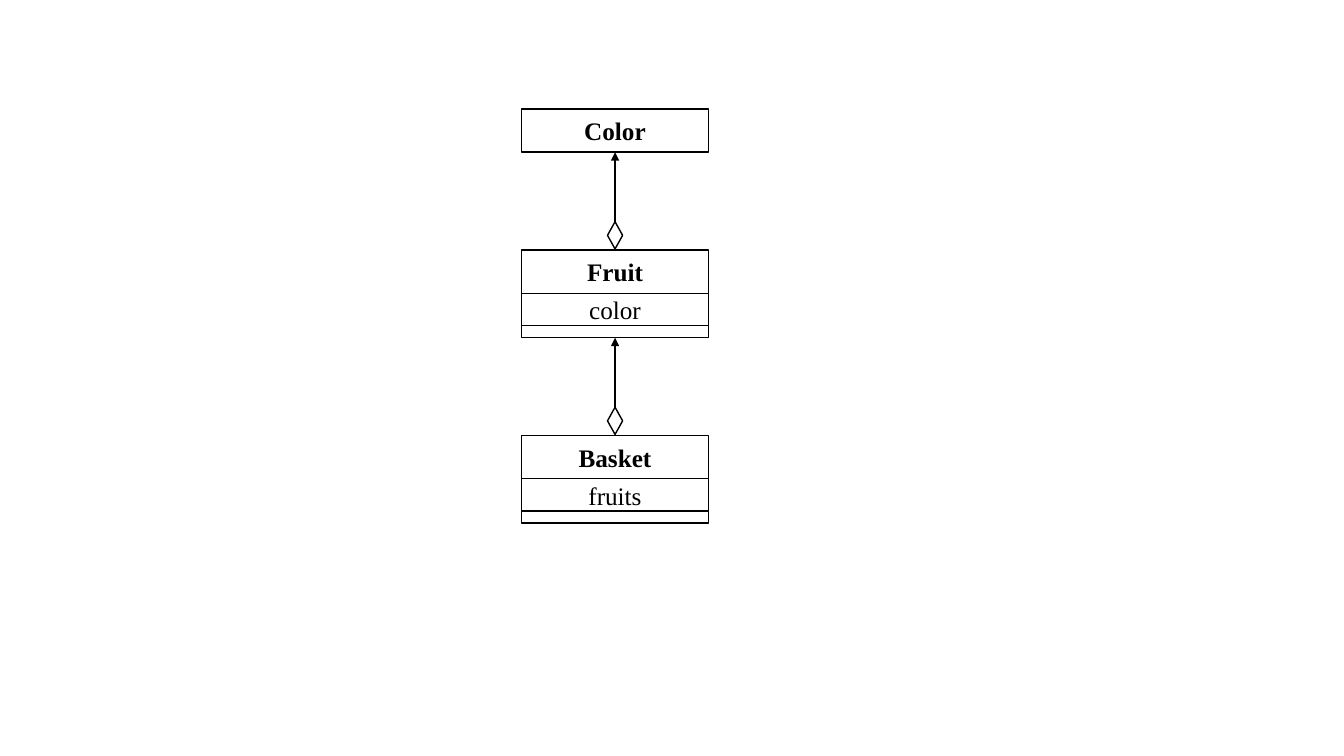
"""Build a class diagram in which Basket aggregates Fruit and Fruit aggregates Color."""
from lxml.etree import SubElement
from pptx import Presentation
from pptx.dml.color import RGBColor
from pptx.enum.shapes import MSO_CONNECTOR, MSO_SHAPE
from pptx.enum.text import MSO_ANCHOR, PP_ALIGN
from pptx.oxml.ns import qn
from pptx.util import Inches, Pt

COLS, ROWS = 1333, 750
LEFT, TOP, WIDTH = 517, 108, 186
CENTER = LEFT + WIDTH / 2
NAME_H, FIELD_H, METHOD_H = 43, 32, 12
GAP, DIAMOND_W, DIAMOND_H = 97, 15, 27
CLASSES = [("Color", None), ("Fruit", "color"), ("Basket", "fruits")]

prs = Presentation()
prs.slide_width, prs.slide_height = Inches(13.33), Inches(7.5)
col, row = prs.slide_width / COLS, prs.slide_height / ROWS
s = prs.slides.add_slide(prs.slide_layouts[6])


def paint(fmt, color):
    """Give a fill, line or font format a solid colour."""
    if hasattr(fmt, "solid"):
        fmt.solid()
        fmt = fmt.fore_color
    else:
        fmt = fmt.color
    fmt.rgb = RGBColor.from_string(color)


def add_box(shapes, kind, x, y, w, h, text="", bold=False):
    """Add an outlined white shape, placed in grid units, with centred text."""
    sp = shapes.add_shape(kind, int(x * col), int(y * row), int(w * col), int(h * row))
    sp.shadow.inherit = False
    paint(sp.fill, "FFFFFF")
    paint(sp.line, "000000")
    sp.line.width = Pt(1)
    if text:
        tf = sp.text_frame
        tf.margin_top = tf.margin_bottom = 0
        tf.vertical_anchor = MSO_ANCHOR.MIDDLE
        p = tf.paragraphs[0]
        p.alignment = PP_ALIGN.CENTER
        r = p.add_run()
        r.text = text
        r.font.name, r.font.size, r.font.bold = "Times New Roman", Pt(18), bold
        paint(r.font, "000000")


tops, bottoms = [], []
y = TOP
for name, field in CLASSES:
    tops.append(y)
    bottoms.append(y + NAME_H + (FIELD_H + METHOD_H if field else 0))
    y = bottoms[-1] + GAP

for target, owner in zip(bottoms, tops[1:]):
    shapes = s.shapes.add_group_shape().shapes
    start = owner - DIAMOND_H - 1
    add_box(shapes, MSO_SHAPE.DIAMOND, CENTER - DIAMOND_W / 2, start, DIAMOND_W, DIAMOND_H)
    arrow = shapes.add_connector(MSO_CONNECTOR.STRAIGHT, int(CENTER * col), int(start * row),
                                 int(CENTER * col), int(target * row))
    paint(arrow.line, "000000")
    arrow.line.width = Pt(1.5)
    SubElement(arrow.line._get_or_add_ln(), qn("a:tailEnd"), type="triangle")
    SubElement(arrow._element.spPr, qn("a:effectLst"))

for (name, field), y in zip(CLASSES, tops):
    shapes = s.shapes.add_group_shape().shapes if field else s.shapes
    add_box(shapes, MSO_SHAPE.RECTANGLE, LEFT, y, WIDTH, NAME_H, name, True)
    if field:
        y += NAME_H
        add_box(shapes, MSO_SHAPE.RECTANGLE, LEFT, y, WIDTH, FIELD_H, field)
        add_box(shapes, MSO_SHAPE.RECTANGLE, LEFT, y + FIELD_H, WIDTH, METHOD_H)

prs.save("out.pptx")
